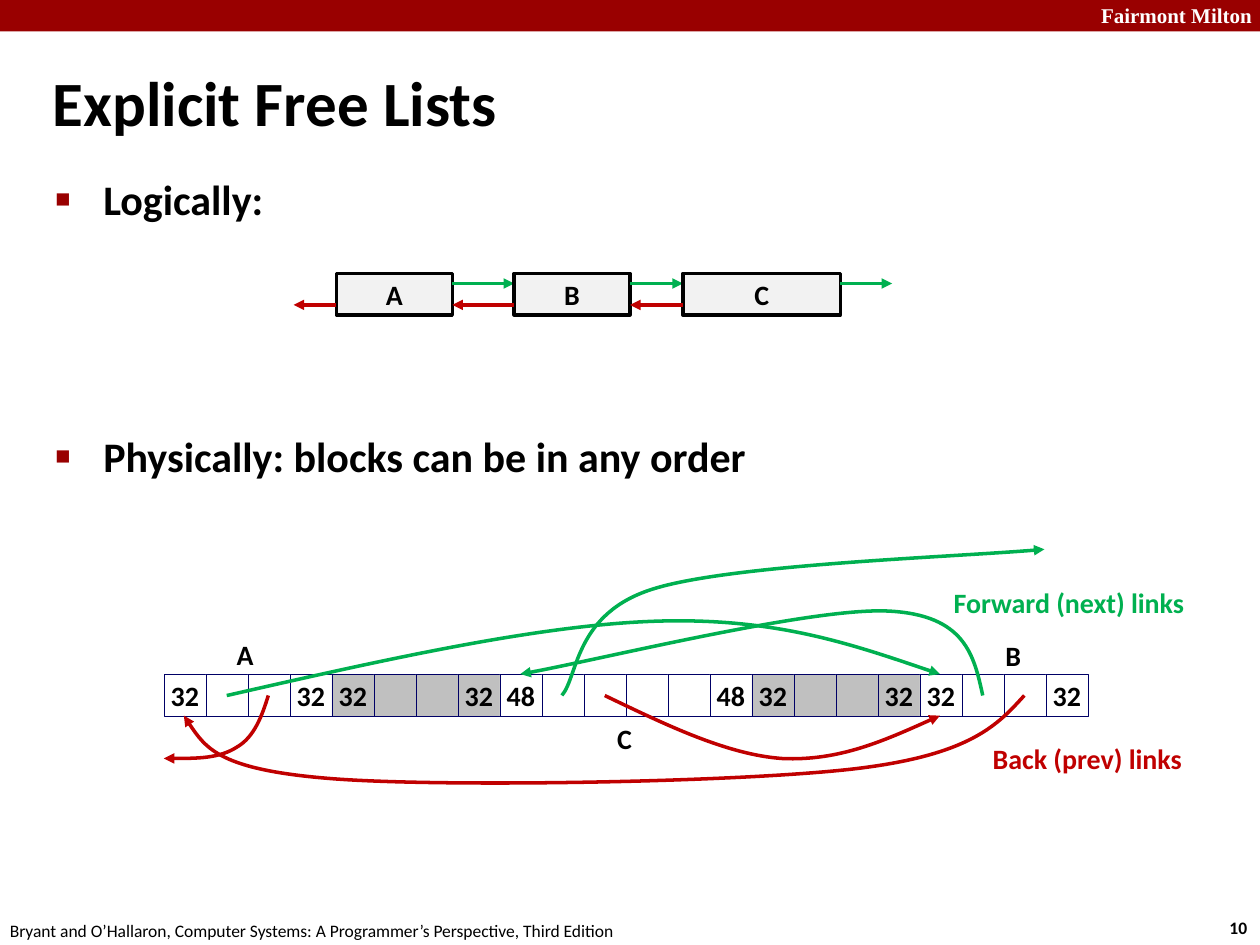
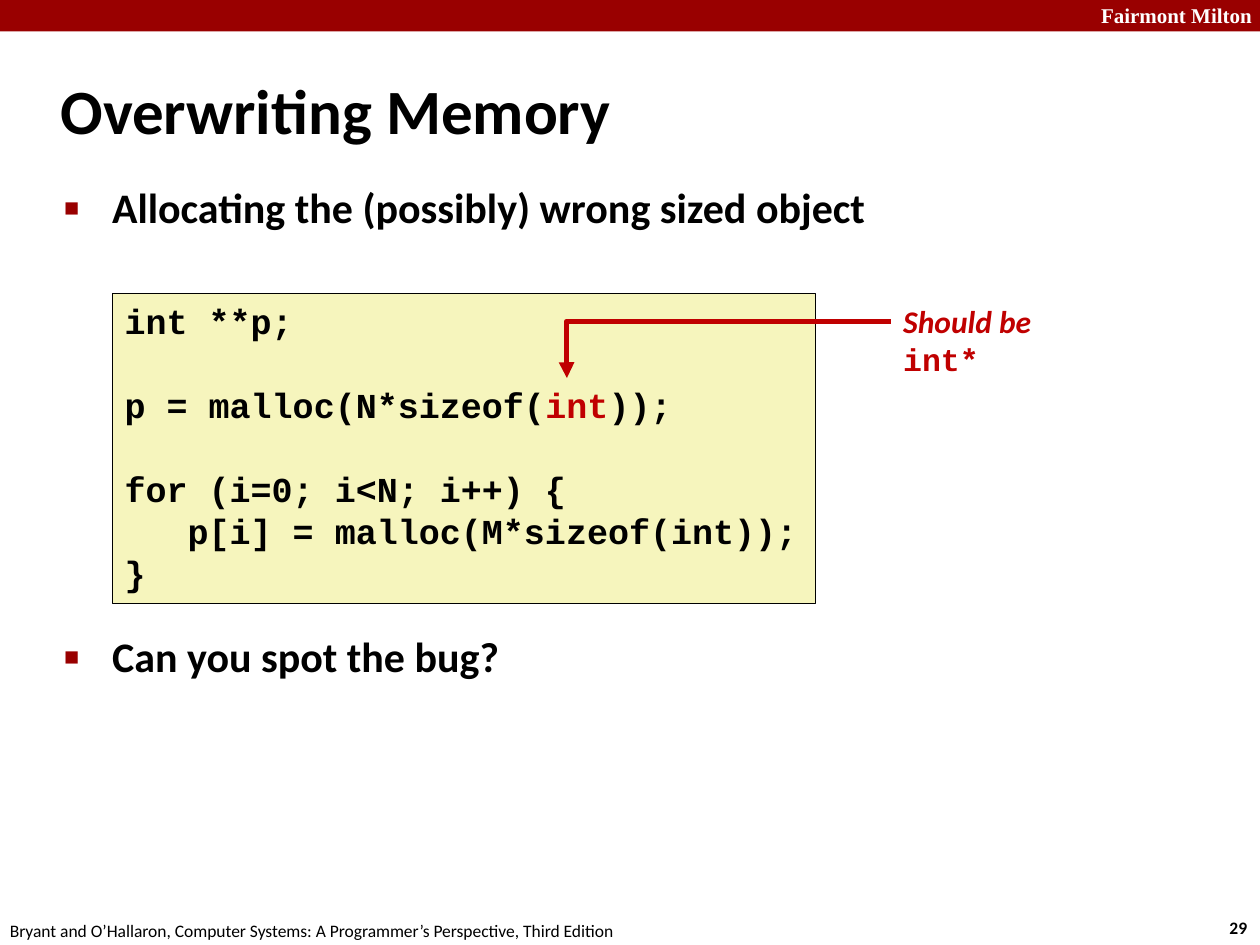
from dataclasses import dataclass

from lxml import etree
from pptx import Presentation
from pptx.dml.color import RGBColor
from pptx.enum.shapes import MSO_CONNECTOR, MSO_SHAPE
from pptx.enum.text import MSO_ANCHOR, MSO_AUTO_SIZE, PP_ALIGN
from pptx.oxml.ns import qn
from pptx.util import Inches, Pt

RECT = MSO_SHAPE.RECTANGLE
STRAIGHT, ELBOW = MSO_CONNECTOR.STRAIGHT, MSO_CONNECTOR.ELBOW
LEFT, CENTER = PP_ALIGN.LEFT, PP_ALIGN.CENTER
TOP, MIDDLE = MSO_ANCHOR.TOP, MSO_ANCHOR.MIDDLE
NO_FIT = MSO_AUTO_SIZE.NONE

BLACK, WHITE, RED = "000000", "FFFFFF", "990000"
GREEN, CRIMSON, NAVY = "00B050", "C00000", "000066"
NODE_GRAY, USED_GRAY, CODE_YELLOW = "F2F2F2", "C0C0C0", "F6F5BD"
SANS, SERIF, MONO = "Calibri", "Times New Roman", "Courier New"

CELL = 1 / 3
HEAP_LEFT, HEAP_TOP = 1.3, 5.35
NODE_TOP, NODE_HEIGHT = 2.17, 0.33
NEXT_Y, PREV_Y = 2.25, 2.42
CODE_LINE = 24


@dataclass(frozen=True)
class Box:
    left: float
    top: float
    width: float
    height: float

    def emu(self) -> tuple:
        return tuple(Inches(v) for v in (self.left, self.top, self.width, self.height))


@dataclass(frozen=True)
class Style:
    size: float
    color: str = BLACK
    bold: bool = True
    font: str = SANS
    italic: bool = False


@dataclass(frozen=True)
class Node:
    name: str
    left: float
    width: float

    @property
    def right(self) -> float:
        return self.left + self.width


@dataclass(frozen=True)
class Block:
    size: str
    words: int
    used: bool = False


@dataclass(frozen=True)
class Link:
    color: str
    points: tuple


@dataclass(frozen=True)
class Label:
    text: str
    box: Box
    color: str = BLACK


@dataclass(frozen=True)
class Bullet:
    text: str
    space_before: float = 5


@dataclass(frozen=True)
class CodeLine:
    runs: tuple
    gap: bool = False


TITLE, BODY, LABEL = Style(36), Style(24), Style(16)
CODE = Style(20, font=MONO)
CODE_RED = Style(20, CRIMSON, font=MONO)

NODES = (Node("A", 2.67, 0.92), Node("B", 4.08, 0.92), Node("C", 5.42, 1.25))
LIST_START, LIST_END = 2.33, 7.08

BLOCKS = (
    Block("32", 4),
    Block("32", 4, used=True),
    Block("48", 6),
    Block("32", 4, used=True),
    Block("32", 4),
)

LINKS = (
    Link(GREEN, ((1.8, 5.52), (3.03, 5.24), (4.27, 4.96), (5.21, 4.93),
                 (6.16, 4.9), (6.81, 5.13), (7.46, 5.35))),
    Link(GREEN, ((7.8, 5.52), (7.73, 5.2), (7.66, 4.88), (7.05, 4.85),
                 (6.44, 4.82), (4.62, 5.27), (4.13, 5.35))),
    Link(CRIMSON, ((8.13, 5.52), (7.92, 5.75), (7.71, 5.99), (6.8, 6.1),
                   (5.88, 6.21), (3.52, 6.25), (2.63, 6.18),
                   (1.74, 6.11), (1.6, 5.9), (1.46, 5.68))),
    Link(CRIMSON, ((4.8, 5.52), (5.28, 5.75), (5.77, 5.99), (6.21, 6.02),
                   (6.66, 6.04), (7.06, 5.86), (7.46, 5.68))),
    Link(GREEN, ((4.46, 5.52), (4.59, 5.37), (4.56, 4.86), (5.2, 4.67),
                 (5.83, 4.48), (7.64, 4.42), (8.29, 4.36))),
    Link(CRIMSON, ((2.13, 5.52), (2.08, 5.68), (2.02, 5.85), (1.88, 5.93),
                   (1.74, 6.02), (1.52, 6.02), (1.3, 6.02))),
)

HEAP_LABELS = (
    Label("Forward (next) links", Box(7.47, 4.6, 2.05, 0.37), GREEN),
    Label("Back (prev) links", Box(7.78, 5.84, 1.72, 0.37), CRIMSON),
    Label("A", Box(1.78, 5.01, 0.34, 0.37)),
    Label("B", Box(7.88, 5.02, 0.32, 0.37)),
    Label("C", Box(4.8, 5.68, 0.32, 0.37)),
)

CODE_LINES = (
    CodeLine((("int **p;", CODE),)),
    CodeLine((("p = malloc(N*sizeof(", CODE), ("int", CODE_RED), ("));", CODE)), gap=True),
    CodeLine((("for (i=0; i<N; i++) {", CODE),), gap=True),
    CodeLine((("   p[i] = malloc(M*sizeof(int));", CODE),)),
    CodeLine((("}", CODE),)),
)


def rgb(value: str) -> RGBColor:
    return RGBColor.from_string(value)


def format_run(r, style: Style) -> None:
    f = r.font
    f.name, f.size, f.bold, f.italic = style.font, Pt(style.size), style.bold, style.italic
    f.color.rgb = rgb(style.color)


def add_run(p, text: str, style: Style) -> None:
    r = p.add_run()
    r.text = text
    format_run(r, style)


def set_text(sp, text: str, style: Style, align=LEFT, anchor=TOP) -> None:
    tf = sp.text_frame
    tf.text = text
    tf.word_wrap = False
    tf.vertical_anchor = anchor
    p = tf.paragraphs[0]
    p.alignment = align
    format_run(p.runs[0], style)


def add_text(s, text: str, box: Box, style: Style):
    sp = s.shapes.add_textbox(*box.emu())
    set_text(sp, text, style)
    return sp


def add_rect(s, box: Box, fill: str, line: str = "", weight: float = 0):
    sp = s.shapes.add_shape(RECT, *box.emu())
    sp.shadow.inherit = False
    sp.fill.solid()
    sp.fill.fore_color.rgb = rgb(fill)
    if line:
        sp.line.color.rgb = rgb(line)
        sp.line.width = Pt(weight)
    else:
        sp.line.fill.background()
    return sp


def style_arrow(sp, color: str, weight: float) -> None:
    sp.line.color.rgb = rgb(color)
    sp.line.width = Pt(weight)
    ln = sp.element.spPr.find(qn("a:ln"))
    etree.SubElement(ln, qn("a:tailEnd"), type="triangle")


def add_arrow(s, kind, start: tuple, end: tuple, color: str, weight: float = 2):
    sp = s.shapes.add_connector(kind, *(Inches(v) for v in start + end))
    style_arrow(sp, color, weight)
    etree.SubElement(sp.element.spPr, qn("a:effectLst"))
    return sp


def add_curve(s, link: Link) -> None:
    start, *rest = [(Inches(x), Inches(y)) for x, y in link.points]
    builder = s.shapes.build_freeform(*start)
    builder.add_line_segments(rest, close=False)
    sp = builder.convert_to_shape()
    sp.shadow.inherit = False
    sp.fill.background()
    outline = next(sp.element.iter(qn("a:path")))
    segments = outline.findall(qn("a:lnTo"))
    for i in range(0, len(segments), 3):
        curve = etree.SubElement(outline, qn("a:cubicBezTo"))
        for segment in segments[i:i + 3]:
            curve.append(segment[0])
            outline.remove(segment)
    style_arrow(sp, link.color, 2)


def place(sp, box: Box):
    sp.left, sp.top, sp.width, sp.height = box.emu()
    return sp


def set_bullets(sp, bullets: tuple, spacing: float) -> None:
    tf = sp.text_frame
    tf.text = "\n".join(b.text for b in bullets)
    tf.auto_size = NO_FIT
    for p, bullet in zip(tf.paragraphs, bullets):
        p.line_spacing = spacing
        p.space_before = Pt(bullet.space_before)
        format_run(p.runs[0], BODY)
        pPr = p._p.get_or_add_pPr()
        pPr.set("marL", str(Inches(0.38)))
        pPr.set("indent", str(-Inches(0.38)))
        color = etree.SubElement(pPr, qn("a:buClr"))
        etree.SubElement(color, qn("a:srgbClr"), val=RED)
        etree.SubElement(pPr, qn("a:buSzPct"), val="60000")
        etree.SubElement(pPr, qn("a:buFont"), typeface="Arial")
        etree.SubElement(pPr, qn("a:buChar"), char="■")


def new_slide(prs, number: str, title: str, title_box: Box,
              bullets: tuple, body_box: Box, spacing: float):
    s = prs.slides.add_slide(prs.slide_layouts[1])
    add_rect(s, Box(0, 0, 10, 0.25), RED)
    add_text(s, "Fairmont Milton", Box(8.64, -0.03, 1.43, 0.3),
             Style(12, WHITE, font=SERIF))
    add_text(s, number, Box(9.66, 7.23, 0.37, 0.27), Style(10))
    add_text(s, "Bryant and O’Hallaron, Computer Systems: A Programmer’s Perspective, Third Edition",
             Box(-0.02, 7.25, 5.08, 0.27), Style(10, bold=False))
    heading = place(s.shapes.title, title_box)
    set_text(heading, title, TITLE, anchor=MIDDLE)
    heading.text_frame.word_wrap = True
    heading.text_frame.auto_size = NO_FIT
    heading.text_frame.paragraphs[0].line_spacing = 0.87
    set_bullets(place(s.placeholders[1], body_box), bullets, spacing)
    return s


def draw_logical_list(s) -> None:
    next_ends = [n.left for n in NODES[1:]] + [LIST_END]
    prev_ends = [LIST_START] + [n.right for n in NODES[:-1]]
    for node, next_x, prev_x in zip(NODES, next_ends, prev_ends):
        sp = add_rect(s, Box(node.left, NODE_TOP, node.width, NODE_HEIGHT), NODE_GRAY, BLACK, 2)
        set_text(sp, node.name, LABEL, CENTER, MIDDLE)
        add_arrow(s, STRAIGHT, (node.right, NEXT_Y), (next_x, NEXT_Y), GREEN)
        add_arrow(s, STRAIGHT, (node.left, PREV_Y), (prev_x, PREV_Y), CRIMSON)


def draw_heap(s) -> None:
    x = HEAP_LEFT
    for block in BLOCKS:
        fill = USED_GRAY if block.used else WHITE
        for word in range(block.words):
            sp = add_rect(s, Box(x, HEAP_TOP, CELL, CELL), fill, NAVY, 0.25)
            if word in (0, block.words - 1):
                set_text(sp, block.size, LABEL, CENTER, MIDDLE)
            x += CELL
    for link in LINKS:
        add_curve(s, link)
    for label in HEAP_LABELS:
        add_text(s, label.text, label.box, Style(16, label.color))


def draw_code(s) -> None:
    sp = add_rect(s, Box(0.89, 2.33, 5.58, 2.46), CODE_YELLOW, BLACK, 0.25)
    tf = sp.text_frame
    tf.word_wrap = False
    tf.vertical_anchor = TOP
    for i, line in enumerate(CODE_LINES):
        p = tf.add_paragraph() if i else tf.paragraphs[0]
        p.alignment = LEFT
        p.line_spacing = Pt(CODE_LINE)
        p.space_before = Pt(CODE_LINE if line.gap else 0)
        for text, style in line.runs:
            add_run(p, text, style)


def draw_correction(s) -> None:
    note = add_text(s, "Should be ", Box(7.07, 2.35, 1.84, 0.4),
                    Style(18, CRIMSON, italic=True))
    note.text_frame.word_wrap = True
    add_run(note.text_frame.paragraphs[0], "int*", Style(18, CRIMSON, font=MONO))
    arrow = add_arrow(s, ELBOW, (7.07, 2.55), (4.5, 3), CRIMSON, 3)
    adjustments = next(arrow.element.iter(qn("a:avLst")))
    etree.SubElement(adjustments, qn("a:gd"), name="adj1", fmla="val 100100")


def main() -> None:
    prs = Presentation()
    prs.slide_width, prs.slide_height = Inches(10), Inches(7.5)

    s = new_slide(prs, "10", "Explicit Free Lists", Box(0.32, 0.53, 6.64, 0.63),
                  (Bullet("Logically:"), Bullet("Physically: blocks can be in any order", 122)),
                  Box(0.34, 1.39, 9.09, 2.66), 0.85)
    draw_logical_list(s)
    draw_heap(s)

    s = new_slide(prs, "29", "Overwriting Memory", Box(0.38, 0.48, 9.53, 0.86),
                  (Bullet("Allocating the (possibly) wrong sized object"),
                   Bullet("Can you spot the bug?", 229)),
                  Box(0.41, 1.42, 9.09, 5.71), 0.95)
    draw_code(s)
    draw_correction(s)

    prs.save("out.pptx")


if __name__ == "__main__":
    main()
